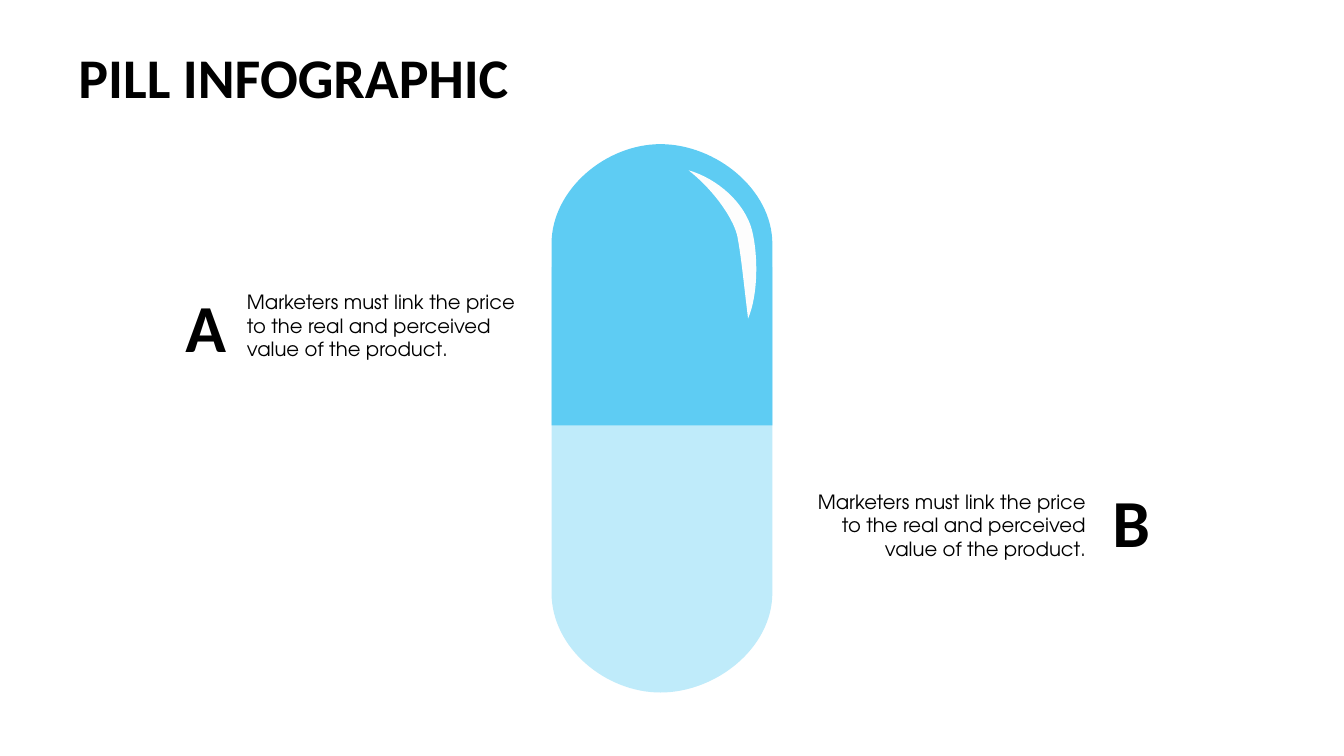
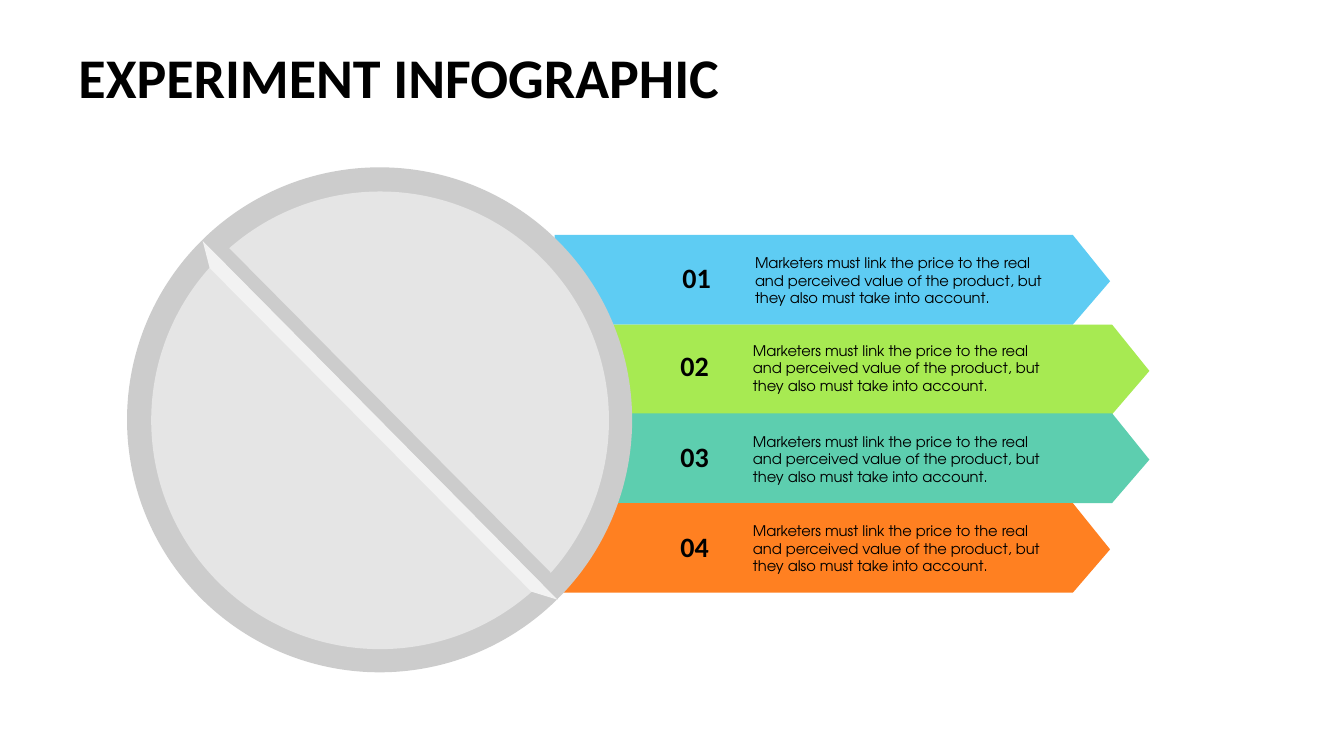
import pptx
import pptx.dml.color
import pptx.enum.shapes
import pptx.enum.text
import pptx.oxml.ns
import pptx.util

PX = 9144
COLORS = {
    "ink": "000000", "card": "FFFFFF",
    "sky": "5ECCF3", "pale": "BFEBFA", "gloss": "FDFDFD",
    "lime": "A7EA52", "mint": "5DCEAF", "orange": "FF8021",
    "rim": "CCCCCC", "face": "E5E5E5", "edge": "F2F2F2",
}
FONTS = {
    "title": {"name": "Calibri", "size": pptx.util.Pt(40), "bold": True},
    "letter": {"name": "Calibri", "size": pptx.util.Pt(48), "bold": True},
    "number": {"name": "Calibri", "size": pptx.util.Pt(20), "bold": True},
    "note": {"name": "TeX Gyre Adventor", "size": pptx.util.Pt(14)},
    "detail": {"name": "TeX Gyre Adventor", "size": pptx.util.Pt(10.5)},
}
LEFT = pptx.enum.text.PP_ALIGN.LEFT
CENTER = pptx.enum.text.PP_ALIGN.CENTER
RIGHT = pptx.enum.text.PP_ALIGN.RIGHT
SHAPES = pptx.enum.shapes.MSO_SHAPE

NOTE = "Marketers must link the price to the real and perceived value of the product."
DETAIL = ("Marketers must link the price to the real and perceived value of the "
          "product, but they also must take into account.")

PILL_BOTTOM = [
    [(219, 445)],
    [(219, 500), (163, 544), (108, 544)],
    [(54, 544), (0, 500), (0, 445)],
    [(0, 122)],
    [(219, 122)],
]
PILL_TOP = [
    [(219, 99)],
    [(219, 45), (163, 0), (108, 0)],
    [(54, 0), (0, 45), (0, 99)],
    [(0, 279)],
    [(219, 279)],
]
PILL_GLOSS = [
    [(136, 26)],
    [(164, 34), (192, 58), (199, 86)],
    [(205, 111), (205, 149), (195, 173)],
    [(191, 142), (188, 109), (184, 90)],
    [(179, 71), (159, 44), (136, 26)],
]
GROOVE_SHADE = [[(427, 429)], [(420, 402)], [(101, 80)], [(75, 73)]]
GROOVE_LIGHT = [[(401, 421)], [(427, 429)], [(75, 73)], [(82, 100)]]


def emu(box):
    """Turn px lengths into EMU."""
    return [round(length * PX) for length in box]


def rgb(color):
    """Look up a named colour."""
    return pptx.dml.color.RGBColor.from_string(COLORS[color])


def paint(shape, color):
    """Give a shape a flat fill with no line or shadow."""
    shape.shadow.inherit = False
    shape.fill.solid()
    shape.fill.fore_color.rgb = rgb(color)
    shape.line.fill.background()


def add_preset(parent, kind, box, color):
    """Add a flat preset shape."""
    paint(parent.shapes.add_shape(kind, *emu(box)), color)


def bend(shape, segments):
    """Merge the three lines of each curved segment into one cubic curve."""
    lines = iter(shape.element.findall(".//" + pptx.oxml.ns.qn("a:lnTo")))
    for segment in segments[1:]:
        curve, *handles = [next(lines) for point in segment]
        if handles:
            curve.tag = pptx.oxml.ns.qn("a:cubicBezTo")
        for handle in handles:
            handle.getparent().remove(handle)
            curve.append(handle[0])


def add_outline(parent, box, segments, color):
    """Draw a closed outline of lines and curves from the corner of a box."""
    places = [emu((box[0] + x, box[1] + y)) for segment in segments for x, y in segment]
    builder = parent.shapes.build_freeform(*places[0])
    builder.add_line_segments(places[1:], close=True)
    shape = builder.convert_to_shape()
    bend(shape, segments)
    paint(shape, color)


def add_text(page, box, text, style, align=LEFT, wrap=True):
    """Add one paragraph of text in a named style."""
    frame = page.shapes.add_textbox(*emu(box)).text_frame
    settings = {"word_wrap": wrap,
                "auto_size": pptx.enum.text.MSO_AUTO_SIZE.SHAPE_TO_FIT_TEXT}
    for name, value in settings.items():
        setattr(frame, name, value)
    para = frame.paragraphs[0]
    para.alignment = align
    span = para.add_run()
    span.text = text
    for name, value in FONTS[style].items():
        setattr(span.font, name, value)
    span.font.color.rgb = rgb("ink")


def add_page(deck):
    """Add a blank page."""
    return deck.slides.add_slide(deck.slide_layouts[6])


def add_title(page, text, width):
    """Add the title shared by all pages."""
    add_text(page, (68, 37, width, 77), text, "title", wrap=False)


def add_pill(page, box):
    """Draw the two-tone capsule with its highlight."""
    add_outline(page, box, PILL_BOTTOM, "pale")
    add_outline(page, box, PILL_TOP, "sky")
    add_outline(page, box, PILL_GLOSS, "gloss")


def add_callout(page, box, letter, note_drop, mirrored):
    """Place a large letter beside a note, on the right when mirrored."""
    left, top, width, height = box
    letter_left = left + width - 62 if mirrored else left
    note_left = left if mirrored else left + 62
    add_text(page, (note_left, top + note_drop, 301, 81), NOTE, "note",
             RIGHT if mirrored else LEFT)
    add_text(page, (letter_left, top, 62, height), letter, "letter", CENTER)


def add_ribbon(page, box, color):
    """Draw an arrow-ended band."""
    width, height = box[2:]
    neck = width - 37
    corners = [(0, height), (neck, height), (width, 46), (neck, 0), (0, 0)]
    add_outline(page, box, [[corner] for corner in corners], color)


def add_ribbon_text(page, box, number):
    """Place a number and its detail in a text row."""
    left, top, width, height = box
    add_text(page, (left + 73, top, width - 73, height), DETAIL, "detail")
    add_text(page, (left, top + 7, 50, 44), number, "number", CENTER, wrap=False)


def add_tablet(page, box):
    """Draw the scored round tablet."""
    left, top, width, height = box
    tablet = page.shapes.add_group_shape()
    add_preset(tablet, SHAPES.OVAL, box, "rim")
    add_preset(tablet, SHAPES.OVAL, (left + 24, top + 24, width - 47, height - 47), "face")
    add_outline(tablet, box, GROOVE_SHADE, "rim")
    add_outline(tablet, box, GROOVE_LIGHT, "edge")


def build_pill_page(deck):
    """Build the page with the capsule and two callouts."""
    page = add_page(deck)
    add_preset(page, SHAPES.ROUNDED_RECTANGLE, (131, 226, 458, 196), "card")
    add_pill(page, (547, 143, 219, 544))
    add_callout(page, (173, 278, 363, 91), "A", 5, False)
    add_callout(page, (786, 472, 367, 91), "B", 9, True)
    add_title(page, "PILL INFOGRAPHIC", 472)


def build_experiment_page(deck):
    """Build the page with the tablet and four ribbons."""
    page = add_page(deck)
    ribbons = [("sky", 550, 666, 247), ("lime", 589, 664, 334),
               ("mint", 589, 664, 424), ("orange", 550, 664, 513)]
    for index, (color, left, text_left, text_top) in enumerate(ribbons):
        top = 233 + round(index * 266 / 3)
        add_ribbon(page, (left, top, 551, 89), color)
        add_ribbon_text(page, (text_left, text_top, 386, 63), f"{index + 1:02}")
    add_tablet(page, (126, 166, 501, 501))
    add_title(page, "EXPERIMENT INFOGRAPHIC", 682)


def main():
    """Build and save the deck."""
    deck = pptx.Presentation()
    deck.slide_width, deck.slide_height = emu((1333, 750))
    build_pill_page(deck)
    build_experiment_page(deck)
    deck.save("out.pptx")


if __name__ == "__main__":
    main()
